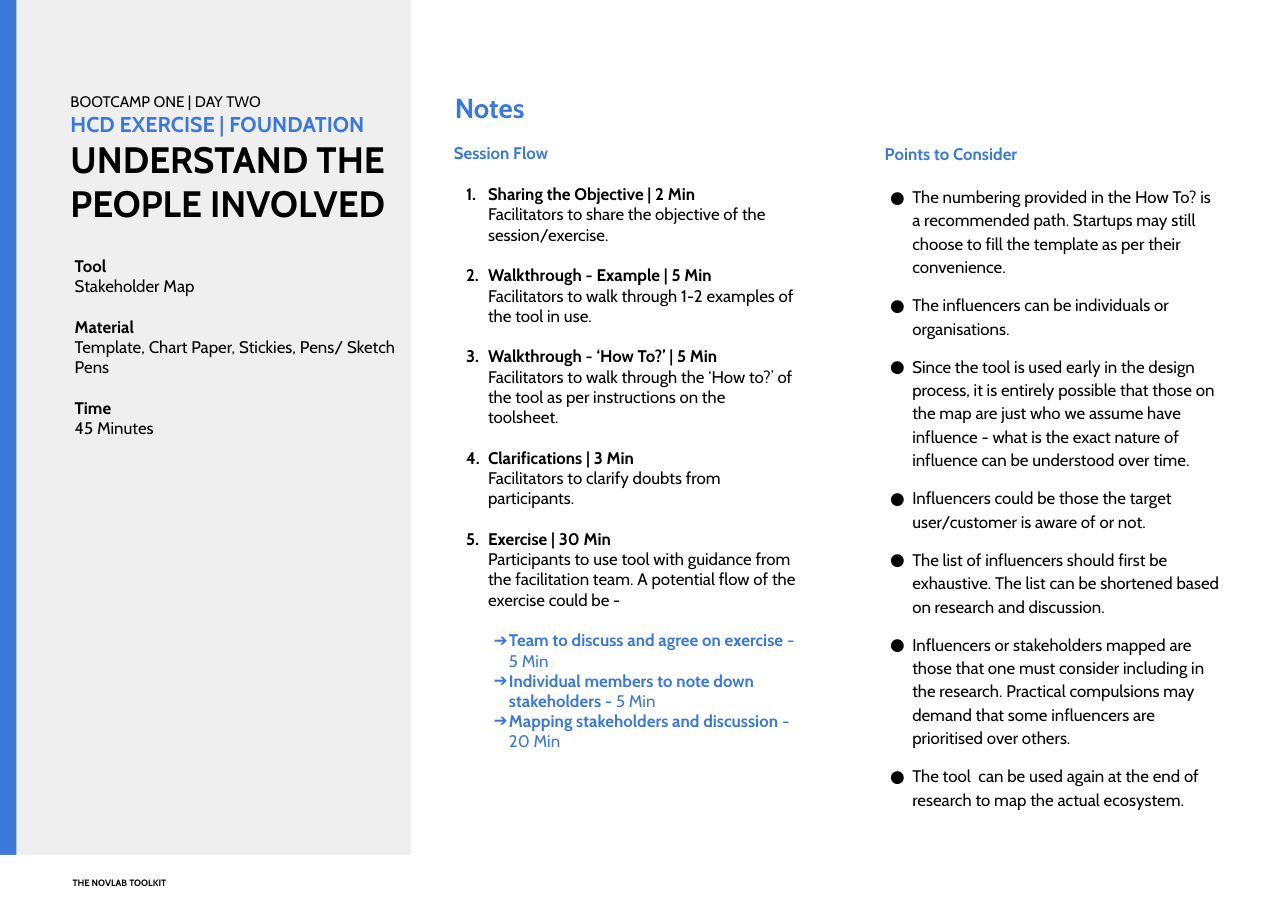
from lxml import etree
from pptx import Presentation
from pptx import util as u
from pptx.dml.color import RGBColor
from pptx.enum import shapes, text
from pptx.oxml.ns import qn

# Content
HEADLINE = [("BOOTCAMP ONE | DAY TWO", 10, False, "ink"),
            ("HCD EXERCISE | FOUNDATION", 14, True, "blue"),
            ("UNDERSTAND THE PEOPLE INVOLVED", 24, True, "ink")]
FACTS = [("Tool", "Stakeholder Map"),
         ("Material", "Template, Chart Paper, Stickies, Pens/ Sketch Pens"),
         ("Time", "45 Minutes")]
SESSION = [
    ("Sharing the Objective | 2 Min",
     "Facilitators to share the objective of the session/exercise."),
    ("Walkthrough - Example | 5 Min",
     "Facilitators to walk through 1-2 examples of the tool in use."),
    ("Walkthrough - ‘How To?’ | 5 Min",
     "Facilitators to walk through the ‘How to?’ of the tool as per instructions on the toolsheet."),
    ("Clarifications | 3 Min", "Facilitators to clarify doubts from participants."),
    ("Exercise | 30 Min",
     "Participants to use tool with guidance from the facilitation team. "
     "A potential flow of the exercise could be -"),
]
EXERCISE_STEPS = [("Team to discuss and agree on exercise ", "- 5 Min"),
                  ("Individual members to note down stakeholders ", "- 5 Min"),
                  ("Mapping stakeholders and discussion ", "- 20 Min")]
POINTS = [
    "The numbering provided in the How To? is a recommended path. Startups may still "
    "choose to fill the template as per their convenience.",
    "The influencers can be individuals or organisations.",
    "Since the tool is used early in the design process, it is entirely possible that those "
    "on the map are just who we assume have influence - what is the exact nature of "
    "influence can be understood over time.",
    "Influencers could be those the target user/customer is aware of or not.",
    "The list of influencers should first be exhaustive. The list can be shortened based on "
    "research and discussion.",
    "Influencers or stakeholders mapped are those that one must consider including in the "
    "research. Practical compulsions may demand that some influencers are prioritised over others.",
    "The tool  can be used again at the end of research to map the actual ecosystem.",
]
FOOTER = "THE NOVLAB TOOLKIT"

# Look: sizes in points, insets and indents in inches
COLOURS = {"ink": "000000", "blue": "3C78D8", "panel": "EFEFEF", "paper": "FFFFFF"}
FONT = "Cabin"
BODY = 11
LINE = 13.4
WIDE_INSET, INSET = 0.13, 0.1

# Areas as percentages of the slide: left, top, width, height
AREAS = {
    "panel": (0, 0, 31.91, 100),
    "bar": (0, 0, 1.28, 100),
    "strip": (0, 93.83, 100, 6.17),
    "headline": (4.36, 8.34, 26.69, 17.9),
    "facts": (4.96, 26.84, 28.06, 25.88),
    "notes": (34.47, 7.62, 28.06, 8.34),
    "session": (34.13, 14.15, 29, 75.21),
    "points": (67.58, 14.15, 28.28, 77.03),
    "footer": (4.79, 94.61, 39.44, 3.51),
}

deck = Presentation()
deck.slide_width, deck.slide_height = u.Inches(11.69), u.Inches(8.27)
page = deck.slides.add_slide(deck.slide_layouts[6])


def place(area):
    sides = (deck.slide_width, deck.slide_height) * 2
    return [int(side * share / 100) for side, share in zip(sides, AREAS[area])]


def add_block(area, colour):
    block = page.shapes.add_shape(shapes.MSO_SHAPE.RECTANGLE, *place(area))
    block.shadow.inherit = False
    block.fill.solid()
    block.fill.fore_color.rgb = RGBColor.from_string(COLOURS[colour])
    block.line.fill.background()


def para(*spans, **layout):
    return spans, layout


def span(words, size=BODY, bold=False, colour="ink"):
    return words, size, bold, colour


def set_marker(props, marker, colour):
    """A whole number gives a numbered item; a string gives that bullet."""
    tint = etree.SubElement(props, qn("a:buClr"))
    etree.SubElement(tint, qn("a:srgbClr"), val=COLOURS[colour])
    etree.SubElement(props, qn("a:buFont"), typeface=FONT)
    if isinstance(marker, int):
        etree.SubElement(props, qn("a:buAutoNum"), type="arabicPeriod", startAt=str(marker))
    else:
        etree.SubElement(props, qn("a:buChar"), char=marker)


def add_text(area, paras, inset=INSET, anchor=text.MSO_ANCHOR.TOP):
    frame = page.shapes.add_textbox(*place(area)).text_frame
    frame.word_wrap = True
    frame.vertical_anchor = anchor
    frame.margin_left = frame.margin_right = u.Inches(inset)
    frame.margin_top = frame.margin_bottom = u.Inches(inset)
    for index, (spans, layout) in enumerate(paras):
        paragraph = frame.paragraphs[0] if index == 0 else frame.add_paragraph()
        if index and "before" in layout:
            paragraph.space_before = u.Pt(layout["before"])
        if "spacing" in layout:
            paragraph.line_spacing = layout["spacing"]
        props = paragraph._p.get_or_add_pPr()
        props.set("marL", str(u.Inches(layout.get("left", 0))))
        props.set("indent", str(-u.Inches(layout.get("hang", 0))))
        if "marker" in layout:
            set_marker(props, layout["marker"], spans[0][3])
        for words, size, bold, colour in spans:
            run = paragraph.add_run()
            run.text = words
            run.font.name, run.font.size, run.font.bold = FONT, u.Pt(size), bold
            run.font.color.rgb = RGBColor.from_string(COLOURS[colour])


# Background blocks
add_block("panel", "panel")
add_block("bar", "blue")
add_block("strip", "paper")

# Left panel
add_text("headline", [para(span(*line)) for line in HEADLINE],
         WIDE_INSET, text.MSO_ANCHOR.BOTTOM)
facts = []
for label, value in FACTS:
    facts += [para(span(label, bold=True), before=LINE), para(span(value))]
add_text("facts", facts)

# Session flow
add_text("notes", [para(span("Notes", 18, True, "blue"))], anchor=text.MSO_ANCHOR.MIDDLE)
session = [para(span("Session Flow", bold=True, colour="blue"))]
for number, (label, detail) in enumerate(SESSION, 1):
    session += [para(span(label, bold=True), before=LINE, left=0.31, hang=0.2, marker=number),
                para(span(detail), left=0.31)]
for index, (step, minutes) in enumerate(EXERCISE_STEPS):
    session.append(para(span(step, bold=True, colour="blue"), span(minutes, colour="blue"),
                        before=0 if index else LINE, left=0.5, hang=0.14, marker="➔"))
add_text("session", session, WIDE_INSET)

# Points to consider
points = [para(span("Points to Consider", bold=True, colour="blue"))]
for index, point in enumerate(POINTS):
    points.append(para(span(point), before=10 if index else LINE, spacing=1.15,
                       left=0.25, hang=0.2, marker="●"))
add_text("points", points, WIDE_INSET)

# Footer
add_text("footer", [para(span(FOOTER, 6, True))], anchor=text.MSO_ANCHOR.BOTTOM)

deck.save("out.pptx")
